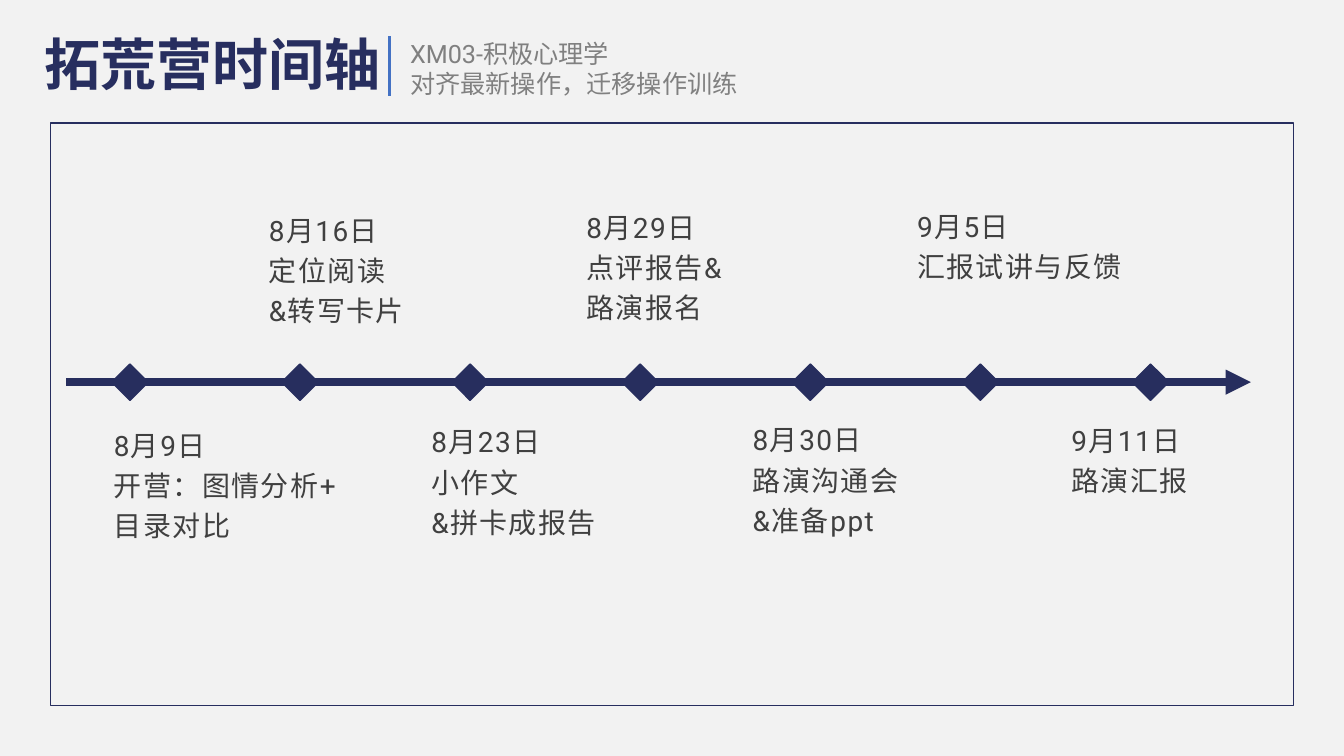
from lxml.etree import SubElement
from pptx import Presentation
from pptx.dml.color import RGBColor
from pptx.enum.shapes import MSO_CONNECTOR, MSO_SHAPE
from pptx.enum.text import MSO_ANCHOR, MSO_AUTO_SIZE, PP_ALIGN
from pptx.oxml.ns import qn
from pptx.util import Pt

# Content
TITLE = "拓荒营时间轴"
NOTES = ["XM03-积极心理学", "对齐最新操作，迁移操作训练"]
# Each stage: left, top, width, lines
STAGES = [
    (74.2, 297.4, 173.5, ["8月9日", "开营：图情分析+", "目录对比"]),
    (185, 144, 118.1, ["8月16日", "定位阅读", "&转写卡片"]),
    (301, 295.2, 136.8, ["8月23日", "小作文", "&拼卡成报告"]),
    (411.8, 141.8, 115.2, ["8月29日", "点评报告&", "路演报名"]),
    (530.6, 293.8, 124.6, ["8月30日", "路演沟通会", "&准备ppt"]),
    (648, 141.1, 162.7, ["9月5日", "汇报试讲与反馈"]),
    (758.2, 293.8, 99.4, ["9月11日", "路演汇报"]),
]

NAVY = RGBColor(0x27, 0x2E, 0x5E)
TITLE_NAVY = RGBColor(0x27, 0x2E, 0x5F)
BLUE = RGBColor(0x44, 0x72, 0xC4)
DARK = RGBColor(0x40, 0x40, 0x40)
GREY = RGBColor(0x80, 0x80, 0x80)
PAPER = RGBColor(0xF2, 0xF2, 0xF2)

# Timeline measures
AXIS_Y = 273
FIRST, STEP, SIZE = 79.8, 121.5, 26
LINE_H = 29


def add_text(slide, left, top, width, height, lines, size, color,
             spacing=None, track=None):
    box = slide.shapes.add_textbox(Pt(left), Pt(top), Pt(width), Pt(height))
    frame = box.text_frame
    frame.word_wrap = True
    frame.auto_size = MSO_AUTO_SIZE.SHAPE_TO_FIT_TEXT
    frame.text = "\n".join(lines)
    for para in frame.paragraphs:
        para.line_spacing = spacing
        for run in para.runs:
            run.font.name = "Roboto"
            run.font.size = Pt(size)
            run.font.color.rgb = color
            if track:
                run.font._element.set("spc", str(track))


def add_line(slide, start, end, color, width):
    line = slide.shapes.add_connector(
        MSO_CONNECTOR.STRAIGHT, *[Pt(n) for n in start + end])
    line.line.color.rgb = color
    line.line.width = Pt(width)
    SubElement(line._element.spPr, qn("a:effectLst"))
    return line


def add_shape(slide, kind, left, top, width, height, color, fill=None):
    shape = slide.shapes.add_shape(
        kind, Pt(left), Pt(top), Pt(width), Pt(height))
    shape.shadow.inherit = False
    shape.line.color.rgb = color
    shape.line.width = Pt(1)
    if fill is None:
        shape.fill.background()
    else:
        shape.fill.solid()
        shape.fill.fore_color.rgb = fill


def main():
    deck = Presentation()
    deck.slide_width, deck.slide_height = Pt(960), Pt(540)
    slide = deck.slides.add_slide(deck.slide_layouts[5])
    slide.background.fill.solid()
    slide.background.fill.fore_color.rgb = PAPER

    # Frame
    add_shape(slide, MSO_SHAPE.RECTANGLE, 36, 87.8, 888, 416.2, TITLE_NAVY)

    # Title
    title = slide.shapes.title
    title.left, title.top = Pt(24.5), Pt(17.3)
    title.width, title.height = Pt(257), Pt(55.4)
    frame = title.text_frame
    frame.text = TITLE
    frame.word_wrap = False
    frame.auto_size = MSO_AUTO_SIZE.SHAPE_TO_FIT_TEXT
    frame.vertical_anchor = MSO_ANCHOR.TOP
    para = frame.paragraphs[0]
    para.alignment = PP_ALIGN.LEFT
    font = para.runs[0].font
    font.name, font.size, font.bold = "Arial", Pt(40), True
    font.color.rgb = TITLE_NAVY

    # Divider and subtitle
    add_line(slide, (278, 26), (278, 68.4), BLUE, 2.25)
    add_text(slide, 285.8, 23.8, 442, 51, NOTES, 18, GREY)

    # Axis arrow
    axis = add_line(slide, (47.5, AXIS_Y), (893.5, AXIS_Y), NAVY, 6)
    SubElement(axis.line._get_or_add_ln(), qn("a:tailEnd"), type="triangle")

    # Stages: evenly spaced markers with their labels
    for i, (left, top, width, lines) in enumerate(STAGES):
        add_shape(slide, MSO_SHAPE.DIAMOND, FIRST + i * STEP,
                  AXIS_Y - SIZE / 2, SIZE, SIZE, NAVY, NAVY)
        add_text(slide, left, top, width, LINE_H * len(lines) + 5, lines,
                 20, DARK, 1.2, 100)

    deck.save("out.pptx")


if __name__ == "__main__":
    main()
